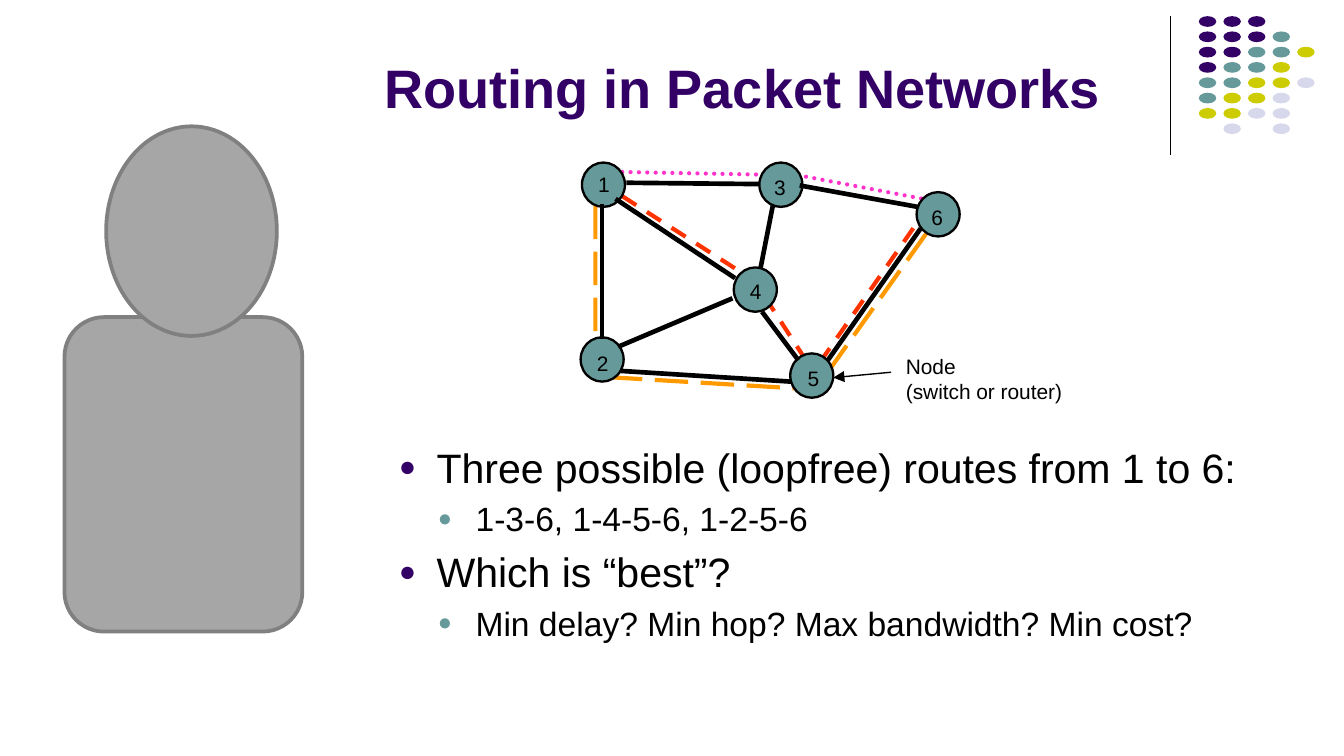
from lxml import etree
from pptx import Presentation
from pptx.dml.color import RGBColor
from pptx.enum.dml import MSO_LINE
from pptx.enum.shapes import MSO_CONNECTOR, MSO_SHAPE
from pptx.enum.text import MSO_ANCHOR
from pptx.oxml.ns import qn
from pptx.util import Inches, Pt

OVAL = MSO_SHAPE.OVAL
ROUNDED = MSO_SHAPE.ROUNDED_RECTANGLE
STRAIGHT = MSO_CONNECTOR.STRAIGHT
DASH, DOT, LONG_DASH = MSO_LINE.DASH, MSO_LINE.ROUND_DOT, MSO_LINE.LONG_DASH
BOTTOM = MSO_ANCHOR.BOTTOM

FONT = "Arial"
COLORS = {
    "black": "000000", "purple": "330066", "teal": "669999",
    "olive": "CCCC00", "lavender": "D8D8EC", "red": "FF3300",
    "pink": "FF33CC", "orange": "FF9900", "gray": "A6A6A6",
    "dark gray": "808080",
}

DOT_ROWS = ["PPP", "PPPT", "PPTTO", "PTTO", "TTOOL", "TOOL", "OOLL", " L L"]
DOT_COLORS = {"P": "purple", "T": "teal", "O": "olive", "L": "lavender"}

# Network coordinates are inches from the top left corner of the diagram.
NODE_W, NODE_H = 0.32, 0.33
# Each node: its corner, then the corner of its number.
NODES = {
    "2": ((0, 1.3), (0.12, 1.4)),
    "6": ((2.5, 0.22), (2.61, 0.31)),
    "4": ((1.14, 0.78), (1.26, 0.86)),
    "1": ((0.01, 0), (0.13, 0.07)),
    "3": ((1.33, 0), (1.44, 0.09)),
    "5": ((1.56, 1.42), (1.69, 1.51)),
}
LINKS = [
    ((0.34, 0.15), (1.33, 0.16)),
    ((1.43, 0.32), (1.34, 0.78)),
    ((1.35, 1.11), (1.62, 1.47)),
    ((1.63, 0.17), (2.51, 0.33)),
    ((1.84, 1.47), (2.53, 0.49)),
    ((1.57, 1.63), (0.3, 1.55)),
    ((0.16, 0.31), (0.16, 1.31)),
    ((0.26, 0.27), (1.15, 0.86)),
    ((1.13, 1.01), (0.28, 1.37)),
]
ROUTES = [
    ("red", DASH, [(0.31, 0.25), (1.2, 0.82), (1.41, 1.06), (1.67, 1.46),
                   (1.74, 1.48), (1.8, 1.46), (2.51, 0.44)]),
    ("pink", DOT, [(0.31, 0.07), (1.35, 0.09), (1.65, 0.1), (2.55, 0.27)]),
    ("orange", LONG_DASH, [(0.11, 0.32), (0.11, 1.32), (0.08, 1.52),
                           (0.13, 1.59), (0.27, 1.6), (1.6, 1.68), (1.75, 1.7),
                           (1.85, 1.59), (1.86, 1.53), (2.57, 0.53)]),
]
POINTS = [
    (0, "Three possible (loopfree) routes from 1 to 6:"),
    (1, "1-3-6, 1-4-5-6, 1-2-5-6"),
    (0, "Which is “best”?"),
    (1, "Min delay? Min hop? Max bandwidth? Min cost?"),
]
LEVELS = [(22, "purple", 0.28), (18, "teal", 0.57)]


def rgb(name):
    return RGBColor.from_string(COLORS[name])


def add_filled(slide, preset, x, y, w, h, fill, line=None, line_width=1):
    shape = slide.shapes.add_shape(preset, Inches(x), Inches(y), Inches(w), Inches(h))
    shape.shadow.inherit = False
    shape.fill.solid()
    shape.fill.fore_color.rgb = rgb(fill)
    if line:
        shape.line.color.rgb = rgb(line)
        shape.line.width = Pt(line_width)
    else:
        shape.line.fill.background()


def add_line(slide, x1, y1, x2, y2, width):
    line = slide.shapes.add_connector(
        STRAIGHT, Inches(x1), Inches(y1), Inches(x2), Inches(y2))
    line.line.color.rgb = rgb("black")
    line.line.width = Pt(width)
    etree.SubElement(line._element.spPr, qn("a:effectLst"))
    return line


def add_frame(slide, x, y, w, h, wrap=True, margin=None):
    frame = slide.shapes.add_textbox(
        Inches(x), Inches(y), Inches(w), Inches(h)).text_frame
    frame.word_wrap = wrap
    if margin is not None:
        frame.margin_left = frame.margin_right = Inches(margin)
        frame.margin_top = frame.margin_bottom = Inches(margin)
    return frame


def add_run(paragraph, text, size, color="black", bold=False):
    run = paragraph.add_run()
    run.text = text
    run.font.name = FONT
    run.font.size = Pt(size)
    run.font.bold = bold
    run.font.color.rgb = rgb(color)


def add_label(slide, x, y, w, h, lines):
    frame = add_frame(slide, x, y, w, h, wrap=False, margin=0)
    for i, text in enumerate(lines):
        paragraph = frame.add_paragraph() if i else frame.paragraphs[0]
        add_run(paragraph, text, 11.2)


def add_corner_dots(slide, x, y, w, h):
    add_line(slide, x, y, x, y + h, 0.75)
    for row, codes in enumerate(DOT_ROWS):
        for column, code in enumerate(codes):
            if code in DOT_COLORS:
                add_filled(slide, OVAL, x + w - 0.86 + column * 0.183,
                           y + row * 0.114, 0.13, 0.08, DOT_COLORS[code])


def add_route(slide, x, y, color, dash, stops):
    points = [(Inches(x + px), Inches(y + py)) for px, py in stops]
    builder = slide.shapes.build_freeform(*points[0])
    builder.add_line_segments(points[1:], close=False)
    route = builder.convert_to_shape()
    route.shadow.inherit = False
    route.fill.background()
    route.line.color.rgb = rgb(color)
    route.line.width = Pt(2.25)
    route.line.dash_style = dash
    if dash == DOT:
        route.line._get_or_add_ln().set("cap", "rnd")


def add_network(slide, x, y):
    for color, dash, stops in ROUTES:
        add_route(slide, x, y, color, dash, stops)
    for (nx, ny), _ in NODES.values():
        add_filled(slide, OVAL, x + nx, y + ny, NODE_W, NODE_H, "teal", "black", 1.25)
    for (x1, y1), (x2, y2) in LINKS:
        add_line(slide, x + x1, y + y1, x + x2, y + y2, 2.5)
    for number in sorted(NODES):
        nx, ny = NODES[number][1]
        add_label(slide, x + nx, y + ny, 0.09, 0.19, [number])
    add_label(slide, x + 2.42, y + 1.42, 1.18, 0.38, ["Node", "(switch or router)"])
    pointer = add_line(slide, x + 2.31, y + 1.56, x + 1.88, y + 1.6, 0.75)
    etree.SubElement(pointer.line._get_or_add_ln(), qn("a:tailEnd"), type="triangle")


def add_title(slide, x, y, w, h):
    frame = add_frame(slide, x, y, w, h)
    frame.vertical_anchor = BOTTOM
    add_run(frame.paragraphs[0], "Routing in Packet Networks", 29, "purple", True)


def set_bullet(paragraph, color, indent):
    props = paragraph._p.get_or_add_pPr()
    props.set("marL", str(Inches(indent)))
    props.set("indent", str(-Inches(0.28)))
    before = etree.SubElement(props, qn("a:spcBef"))
    etree.SubElement(before, qn("a:spcPct"), val="20000")
    bullet_color = etree.SubElement(props, qn("a:buClr"))
    etree.SubElement(bullet_color, qn("a:srgbClr"), val=COLORS[color])
    etree.SubElement(props, qn("a:buSzPct"), val="70000")
    etree.SubElement(props, qn("a:buFont"), typeface=FONT)
    etree.SubElement(props, qn("a:buChar"), char="●")


def add_points(slide, x, y, w, h):
    frame = add_frame(slide, x, y, w, h)
    for i, (level, text) in enumerate(POINTS):
        paragraph = frame.add_paragraph() if i else frame.paragraphs[0]
        size, bullet_color, indent = LEVELS[level]
        paragraph.level = level
        set_bullet(paragraph, bullet_color, indent)
        add_run(paragraph, text, size)


def add_person(slide, x, y, w, h):
    """Plain figure: a rounded body with an oval head above it."""
    add_filled(slide, ROUNDED, x, y + 1.42, w, h - 1.42, "gray", "dark gray", 2)
    add_filled(slide, OVAL, x + 0.31, y, 1.27, 1.56, "gray", "dark gray", 2)


def main():
    deck = Presentation()
    deck.slide_width = Inches(10)
    deck.slide_height = deck.slide_width * 9 // 16
    slide = deck.slides.add_slide(deck.slide_layouts[6])
    add_corner_dots(slide, 8.71, 0.12, 1.07, 1.03)
    add_network(slide, 4.32, 1.21)
    add_title(slide, 2.76, 0.1, 5.99, 0.84)
    add_points(slide, 2.87, 3.24, 6.61, 1.65)
    add_person(slide, 0.48, 0.94, 1.77, 3.76)
    deck.save("out.pptx")


if __name__ == "__main__":
    main()
